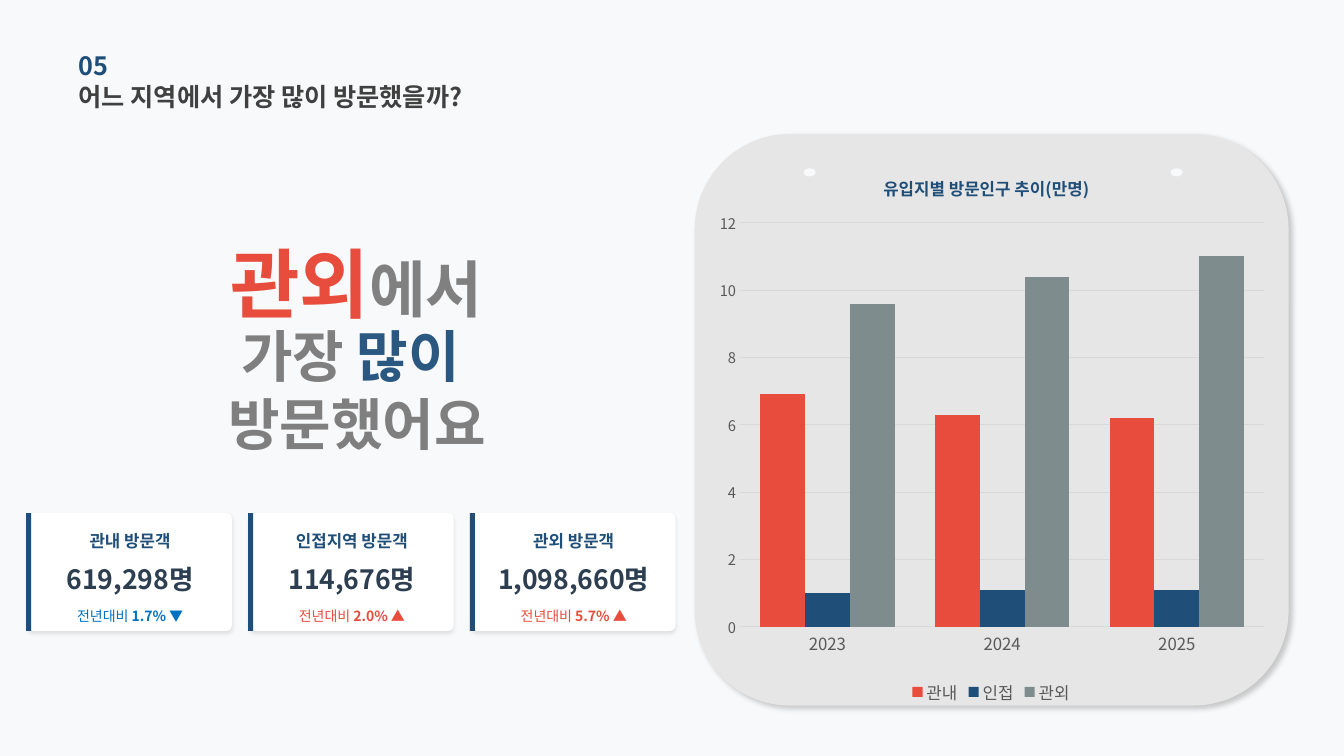
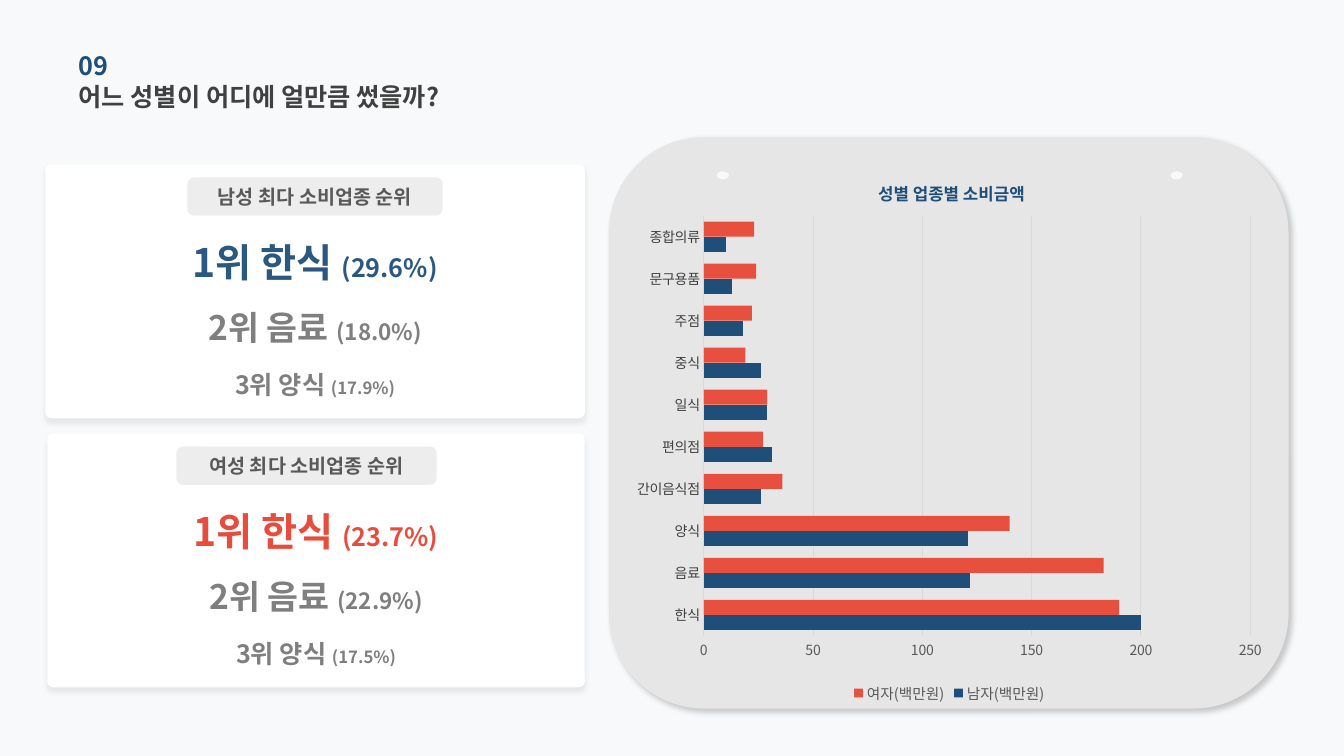
import pptx
import pptx.chart.data
import pptx.dml.color
import pptx.enum.chart
import pptx.enum.shapes
import pptx.enum.text
import pptx.oxml
import pptx.oxml.ns
import pptx.util
from pptx.util import Inches

FONT = "Noto Sans CJK KR"
COLORS = {
    "background": "F8F9FA", "panel": "E7E6E6", "white": "FFFFFF", "badge": "D0CECE",
    "navy": "1F4E79", "blue": "2B5880", "red": "E74C3C", "down": "0070C0",
    "slate": "7F8C8D", "ink": "2C3E50", "title": "404040", "label": "595959",
    "gray": "7F7F7F", "light_gray": "808080", "grid": "D9D9D9",
}
# blur and distance in points, opacity in percent, direction in degrees
PANEL_SHADOW = {"opacity": 20, "blur": 4, "distance": 3, "direction": 45}
VISITOR_SHADOW = {"opacity": 10, "blur": 3, "distance": 2, "direction": 90}
RANK_SHADOW = {"opacity": 8, "blur": 4, "distance": 3, "direction": 90}

VISITORS = [
    ("관내 방문객", "619,298명", "1.7% ▼", "down"),
    ("인접지역 방문객", "114,676명", "2.0% ▲", "red"),
    ("관외 방문객", "1,098,660명", "5.7% ▲", "red"),
]
VISITOR_CHART = {
    "kind": "COLUMN_CLUSTERED", "box": (7, 1.48, 5.66, 5.55),
    "plot": (7.34, 2.21, 5.2, 4.01), "title": "유입지별 방문인구 추이(만명)",
    "title_at": (8.73, 1.69), "categories": ["2023", "2024", "2025"],
    "series": [("관내", [6.9, 6.3, 6.2], "red", 100),
               ("인접", [1, 1.1, 1.1], "navy", 100),
               ("관외", [9.6, 10.4, 11], "slate", 100)],
    "gap": 90, "maximum": 12, "step": 2,
    "category_font": (12, "label"), "value_size": 10.5, "legend_size": 12,
}
RANKINGS = [
    {"badge": "남성 최다 소비업종 순위", "color": "blue", "card": (0.45, 1.63, 5.35, 2.52),
     "badge_left": 1.86, "badge_width": 2.53, "shares": ["29.6%", "18.0%", "17.9%"]},
    {"badge": "여성 최다 소비업종 순위", "color": "red", "card": (0.47, 4.3, 5.33, 2.52),
     "badge_left": 1.75, "badge_width": 2.58, "shares": ["23.7%", "22.9%", "17.5%"]},
]
# text, size, share size, offset from card top, height
RANK_ROWS = [
    ("1위 한식 ", 28, 18, 0.73, 0.48),
    ("2위 음료 ", 24, 16, 1.19, 0.84),
    ("3위 양식 ", 18, 12, 1.76, 0.84),
]
SPENDING_CHART = {
    "kind": "BAR_CLUSTERED", "box": (6.19, 1.52, 6.45, 5.5),
    "plot": (6.98, 2.14, 5.42, 4.17), "title": "성별 업종별 소비금액",
    "title_at": (8.68, 1.74),
    "categories": ["한식", "음료", "양식", "간이음식점", "편의점",
                   "일식", "중식", "주점", "문구용품", "종합의류"],
    "series": [("남자(백만원)", [200, 122, 121, 26, 31, 29, 26, 18, 13, 10], "navy", 100),
               ("여자(백만원)", [190, 183, 140, 36, 27, 29, 19, 22, 24, 23], "red", 98)],
    "gap": 80, "maximum": 250, "step": 50,
    "category_font": (10, "title"), "value_size": 10, "legend_size": 10.5,
}


def rgb(name):
    return pptx.dml.color.RGBColor.from_string(COLORS[name])


def inches(box):
    return [Inches(length) for length in box]


def xml(text):
    return pptx.oxml.parse_xml(text)


def format_font(font, size, color, bold=False):
    font.size = pptx.util.Pt(size)
    font.bold = bold
    font.color.rgb = rgb(color)
    font.name = FONT
    properties = font._rPr
    properties.append(xml(f'<a:ea {pptx.oxml.ns.nsdecls("a")} typeface="{FONT}"/>'))


def write(frame, paragraphs, size, color, bold=True, align="CENTER"):
    """Fill a text frame; each paragraph is a list of (text, format changes)."""
    frame.margin_left = frame.margin_right = frame.margin_top = frame.margin_bottom = 0
    frame.word_wrap = True
    frame.auto_size = pptx.enum.text.MSO_AUTO_SIZE.NONE
    frame.vertical_anchor = pptx.enum.text.MSO_ANCHOR.MIDDLE
    for index, runs in enumerate(paragraphs):
        paragraph = frame.paragraphs[0] if index == 0 else frame.add_paragraph()
        paragraph.alignment = pptx.enum.text.PP_ALIGN[align]
        for text, changes in runs:
            run = paragraph.add_run()
            run.text = text
            format_font(run.font, **{"size": size, "color": color, "bold": bold, **changes})


def add_text(slide, box, paragraphs, **text_format):
    if isinstance(paragraphs, str):
        paragraphs = [[(paragraphs, {})]]
    write(slide.shapes.add_textbox(*inches(box)).text_frame, paragraphs, **text_format)


def set_fill(fill, color, opacity=100):
    fill.solid()
    fill.fore_color.rgb = rgb(color)
    if opacity < 100:
        color_element = fill._xPr.find(".//" + pptx.oxml.ns.qn("a:srgbClr"))
        color_element.append(
            xml(f'<a:alpha {pptx.oxml.ns.nsdecls("a")} val="{opacity * 1000}"/>'))


def add_shape(slide, kind, box, color, opacity=100, corner=None, shadow=None):
    shape = slide.shapes.add_shape(pptx.enum.shapes.MSO_SHAPE[kind], *inches(box))
    set_fill(shape.fill, color, opacity)
    shape.line.fill.background()
    shape.shadow.inherit = False
    if corner is not None:
        shape.adjustments[0] = corner
    if shadow:
        effects = shape._element.spPr.find(pptx.oxml.ns.qn("a:effectLst"))
        effects.append(xml(
            f'<a:outerShdw {pptx.oxml.ns.nsdecls("a")} blurRad="{shadow["blur"] * 12700}" '
            f'dist="{shadow["distance"] * 12700}" dir="{shadow["direction"] * 60000}" '
            f'algn="ctr" rotWithShape="0"><a:srgbClr val="000000">'
            f'<a:alpha val="{shadow["opacity"] * 1000}"/></a:srgbClr></a:outerShdw>'))
    return shape


def add_slide(presentation, number, question):
    slide = presentation.slides.add_slide(presentation.slide_layouts[5])
    write(slide.shapes.title.text_frame, [[(question, {})]],
          size=18, color="title", align="LEFT")
    add_text(slide, (0.78, 0.44, 4.52, 0.41), number, size=18, color="navy", align="LEFT")
    return slide


def add_panel(slide, box, hole_lefts):
    add_shape(slide, "ROUNDED_RECTANGLE", box, "panel", shadow=PANEL_SHADOW)
    for left in hole_lefts:
        add_shape(slide, "OVAL", (left, box[1] + 0.34, 0.12, 0.08), "background")


def set_layout(element, index, frame, position, inner=False):
    """Place a chart part, given in slide inches, inside the chart frame."""
    for old in element.findall(pptx.oxml.ns.qn("c:layout")):
        element.remove(old)
    left, top, width, height = frame
    values = {"x": (position[0] - left) / width, "y": (position[1] - top) / height}
    if inner:
        values.update(w=position[2] / width, h=position[3] / height)
    target = '<c:layoutTarget val="inner"/>' if inner else ""
    modes = '<c:xMode val="edge"/><c:yMode val="edge"/>'
    sizes = "".join(f'<c:{key} val="{value:.4f}"/>' for key, value in values.items())
    element.insert(index, xml(
        f'<c:layout {pptx.oxml.ns.nsdecls("c")}><c:manualLayout>'
        f'{target}{modes}{sizes}</c:manualLayout></c:layout>'))


def no_fill():
    return xml(f'<c:spPr {pptx.oxml.ns.nsdecls("c", "a")}><a:noFill/>'
               '<a:ln><a:noFill/></a:ln></c:spPr>')


def set_line(line, color):
    line.color.rgb = rgb(color)
    line.width = pptx.util.Pt(0.75)


def add_chart(slide, content):
    data = pptx.chart.data.CategoryChartData()
    data.categories = content["categories"]
    for name, values, _, _ in content["series"]:
        data.add_series(name, values)
    kind = pptx.enum.chart.XL_CHART_TYPE[content["kind"]]
    chart = slide.shapes.add_chart(kind, *inches(content["box"]), data).chart
    format_font(chart.font, 10, "label")

    plot = chart.plots[0]
    plot.vary_by_categories = False
    plot.gap_width = content["gap"]
    plot.overlap = 0
    for series, (_, _, color, opacity) in zip(plot.series, content["series"]):
        set_fill(series.format.fill, color, opacity)
        series.invert_if_negative = False

    no_ticks = pptx.enum.chart.XL_TICK_MARK.NONE
    for axis in (chart.category_axis, chart.value_axis):
        axis.major_tick_mark = axis.minor_tick_mark = no_ticks
    chart.category_axis.has_major_gridlines = False
    set_line(chart.category_axis.format.line, "grid")
    format_font(chart.category_axis.tick_labels.font, *content["category_font"])
    value_axis = chart.value_axis
    value_axis.minimum_scale = 0
    value_axis.maximum_scale = content["maximum"]
    value_axis.major_unit = content["step"]
    value_axis.format.line.fill.background()
    value_axis.has_major_gridlines = True
    set_line(value_axis.major_gridlines.format.line, "grid")
    format_font(value_axis.tick_labels.font, content["value_size"], "label")

    chart.has_legend = True
    chart.legend.position = pptx.enum.chart.XL_LEGEND_POSITION.BOTTOM
    chart.legend.include_in_layout = False
    format_font(chart.legend.font, content["legend_size"], "label")

    chart.has_title = True
    run = chart.chart_title.text_frame.paragraphs[0].add_run()
    run.text = content["title"]
    format_font(run.font, 12, "navy", bold=True)

    chart_element = chart._chartSpace.find(pptx.oxml.ns.qn("c:chart"))
    chart_element.addnext(no_fill())
    plot_area = chart_element.find(pptx.oxml.ns.qn("c:plotArea"))
    plot_area.append(no_fill())
    set_layout(plot_area, 0, content["box"], content["plot"], inner=True)
    title = chart_element.find(pptx.oxml.ns.qn("c:title"))
    set_layout(title, 1, content["box"], content["title_at"])


def add_visitor_card(slide, left, label, count, change, color):
    top, width, height = 5.09, 2.02, 1.17
    add_shape(slide, "ROUNDED_RECTANGLE", (left, top, width, height), "white",
              corner=0.048, shadow=VISITOR_SHADOW)
    add_text(slide, (left, top + 0.16, width, 0.22), label, size=12, color="navy")
    add_text(slide, (left, top + 0.48, width, 0.34), count, size=19, color="ink")
    add_text(slide, (left, top + 0.92, width, 0.2),
             [[("전년대비 ", {"bold": False}), (change, {})]], size=10, color=color)
    add_shape(slide, "RECTANGLE", (left - 0.02, top, 0.05, height), "navy")


def add_ranking(slide, ranking):
    left, top, width, _ = ranking["card"]
    add_shape(slide, "ROUNDED_RECTANGLE", ranking["card"], "white",
              corner=0.023, shadow=RANK_SHADOW)
    badge = add_shape(slide, "ROUNDED_RECTANGLE",
                      (ranking["badge_left"], top + 0.13, ranking["badge_width"], 0.38),
                      "badge", opacity=36)
    write(badge.text_frame, [[(ranking["badge"], {})]], size=14, color="label")
    for index, (text, size, share_size, offset, height) in enumerate(RANK_ROWS):
        share = f"({ranking['shares'][index]})"
        add_text(slide, (left, top + offset, width, height),
                 [[(text, {}), (share, {"size": share_size})]],
                 size=size, color=ranking["color"] if index == 0 else "gray")


def build_visitor_slide(presentation):
    slide = add_slide(presentation, "05", "어느 지역에서 가장 많이 방문했을까?")
    add_panel(slide, (6.89, 1.33, 5.89, 5.67), (7.97, 11.61))
    add_text(slide, (1.39, 2.56, 4.29, 0.48),
             [[("관외", {"size": 54, "color": "red"}), ("에서", {})]],
             size=44, color="light_gray")
    add_text(slide, (0.78, 3.44, 5.52, 0.84),
             [[("가장", {}), (" 많이 ", {"color": "blue"})], [("방문했어요", {})]],
             size=40, color="gray")
    for index, visitor in enumerate(VISITORS):
        add_visitor_card(slide, 0.28 + 2.2 * index, *visitor)
    add_chart(slide, VISITOR_CHART)


def build_spending_slide(presentation):
    slide = add_slide(presentation, "09", "어느 성별이 어디에 얼만큼 썼을까?")
    add_panel(slide, (6.04, 1.36, 6.74, 5.67), (7.11, 11.61))
    for ranking in RANKINGS:
        add_ranking(slide, ranking)
    add_chart(slide, SPENDING_CHART)


def main():
    presentation = pptx.Presentation()
    presentation.slide_width, presentation.slide_height = inches((13.33, 7.5))
    set_fill(presentation.slide_master.background.fill, "background")
    title = presentation.slide_layouts[5].placeholders[0]
    title.left, title.top, title.width, title.height = inches((0.78, 0.75, 5.28, 0.41))
    build_visitor_slide(presentation)
    build_spending_slide(presentation)
    presentation.save("out.pptx")


if __name__ == "__main__":
    main()
